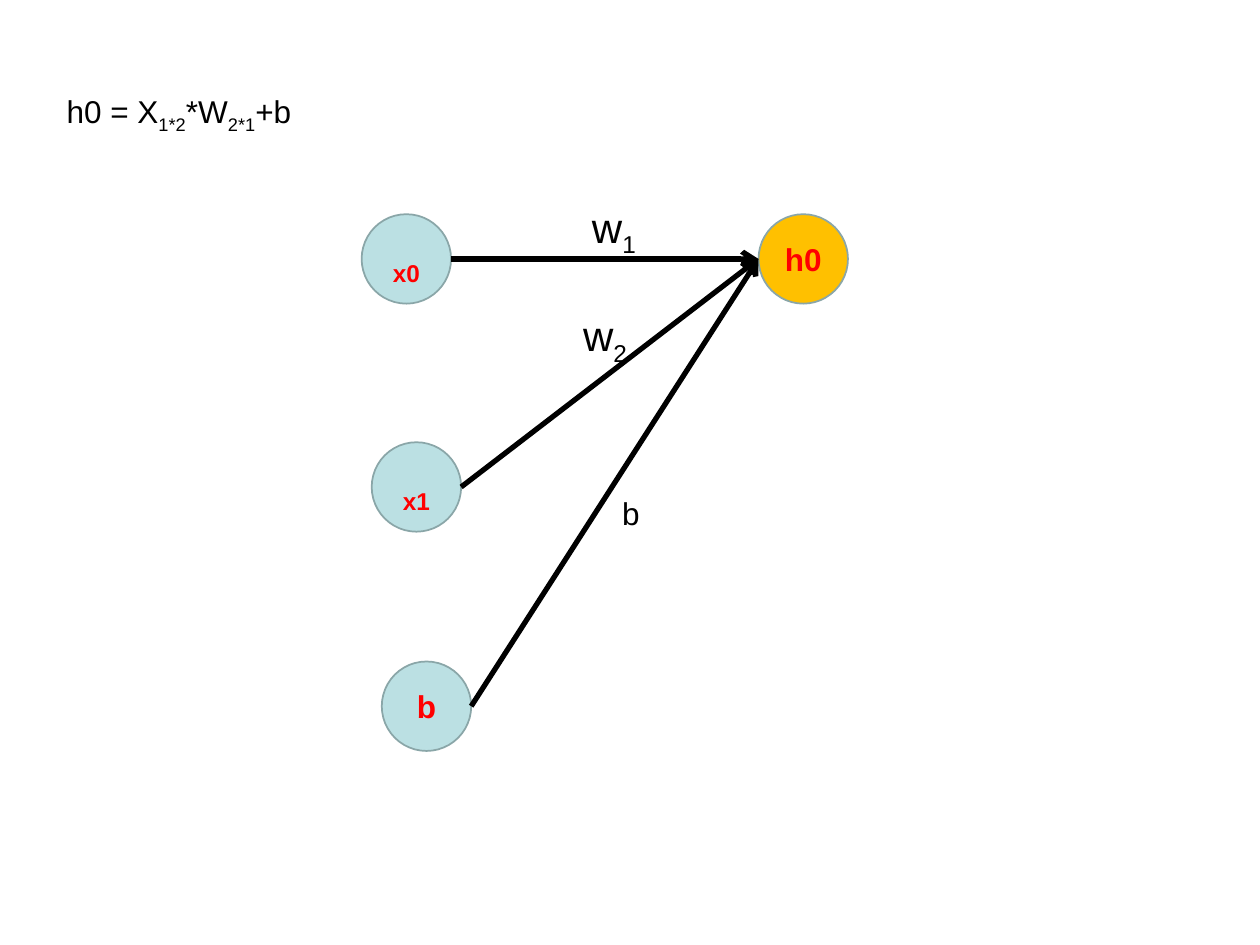
"""Build a slide showing one neuron with two weighted inputs and a bias."""
from dataclasses import dataclass

from lxml.etree import SubElement
from pptx import Presentation
from pptx.dml.color import RGBColor
from pptx.enum.shapes import MSO_CONNECTOR, MSO_SHAPE
from pptx.enum.text import MSO_ANCHOR, MSO_AUTO_SIZE, PP_ALIGN
from pptx.oxml.ns import qn
from pptx.util import Inches, Pt


@dataclass(frozen=True)
class Theme:
    font: str = "Arial"
    input_fill: RGBColor = RGBColor(0xBB, 0xE0, 0xE3)
    output_fill: RGBColor = RGBColor(0xFF, 0xC0, 0x00)
    outline: RGBColor = RGBColor(0x8A, 0xA6, 0xA8)
    node_text: RGBColor = RGBColor(0xFF, 0x00, 0x00)
    ink: RGBColor = RGBColor(0x00, 0x00, 0x00)
    large: Pt = Pt(24)
    normal: Pt = Pt(18)
    outline_width: Pt = Pt(1)
    arrow_width: Pt = Pt(3)


theme = Theme()


def set_values(target, values):
    for name, value in values.items():
        setattr(target, name, value)


def add_spans(para, parts, size, color, bold=False):
    for text, is_subscript in parts:
        span = para.add_run()
        span.text = text
        set_values(span.font, {"name": theme.font, "size": size, "bold": bold})
        span.font.color.rgb = color
        if is_subscript:
            span.font._element.set("baseline", "-25000")


deck = Presentation()
set_values(deck, {"slide_width": Inches(10), "slide_height": Inches(7.5)})
page = deck.slides.add_slide(deck.slide_layouts[6])

diameter = 0.71
output_left, output_top = 6.02, 1.7
nodes = [
    ("x0", True, 2.87, 1.7, theme.large, theme.input_fill),
    ("x1", True, 2.95, 3.51, theme.large, theme.input_fill),
    ("b", False, 3.03, 5.25, theme.normal, theme.input_fill),
    ("h0", False, output_left, output_top, theme.normal, theme.output_fill),
]
node_frame = {
    "margin_left": 0, "margin_right": 0, "margin_top": 0, "margin_bottom": 0,
    "vertical_anchor": MSO_ANCHOR.MIDDLE, "word_wrap": True,
}
for text, is_subscript, left, top, size, fill in nodes:
    node = page.shapes.add_shape(
        MSO_SHAPE.OVAL, Inches(left), Inches(top), Inches(diameter), Inches(diameter))
    node.shadow.inherit = False
    node.fill.solid()
    node.fill.fore_color.rgb = fill
    node.line.color.rgb = theme.outline
    node.line.width = theme.outline_width
    set_values(node.text_frame, node_frame)
    para = node.text_frame.paragraphs[0]
    para.alignment = PP_ALIGN.CENTER
    add_spans(para, [(text, is_subscript)], size, theme.node_text, bold=True)

for text, is_subscript, left, top, size, fill in nodes[:-1]:
    arrow = page.shapes.add_connector(
        MSO_CONNECTOR.STRAIGHT,
        Inches(left + diameter), Inches(top + diameter / 2),
        Inches(output_left), Inches(output_top + diameter / 2))
    arrow.line.color.rgb = theme.ink
    arrow.line.width = theme.arrow_width
    SubElement(arrow.line._get_or_add_ln(), qn("a:tailEnd"), type="arrow")
    SubElement(arrow._element.spPr, qn("a:effectLst"))

labels = [
    ([("w", False), ("1", True)], 4.6, 1.55, 0.56, 0.5, theme.large),
    ([("b", False)], 4.84, 3.87, 0.34, 0.4, theme.normal),
    ([("h0 = X", False), ("1*2", True), ("*W", False), ("2*1", True), ("+b", False)],
     0.43, 0.68, 2.03, 0.4, theme.normal),
    ([("w", False), ("2", True)], 4.53, 2.41, 0.56, 0.5, theme.large),
]
for parts, left, top, width, height, size in labels:
    box = page.shapes.add_textbox(
        Inches(left), Inches(top), Inches(width), Inches(height))
    set_values(box.text_frame, {
        "word_wrap": False, "auto_size": MSO_AUTO_SIZE.SHAPE_TO_FIT_TEXT})
    add_spans(box.text_frame.paragraphs[0], parts, size, theme.ink)

deck.save("out.pptx")
